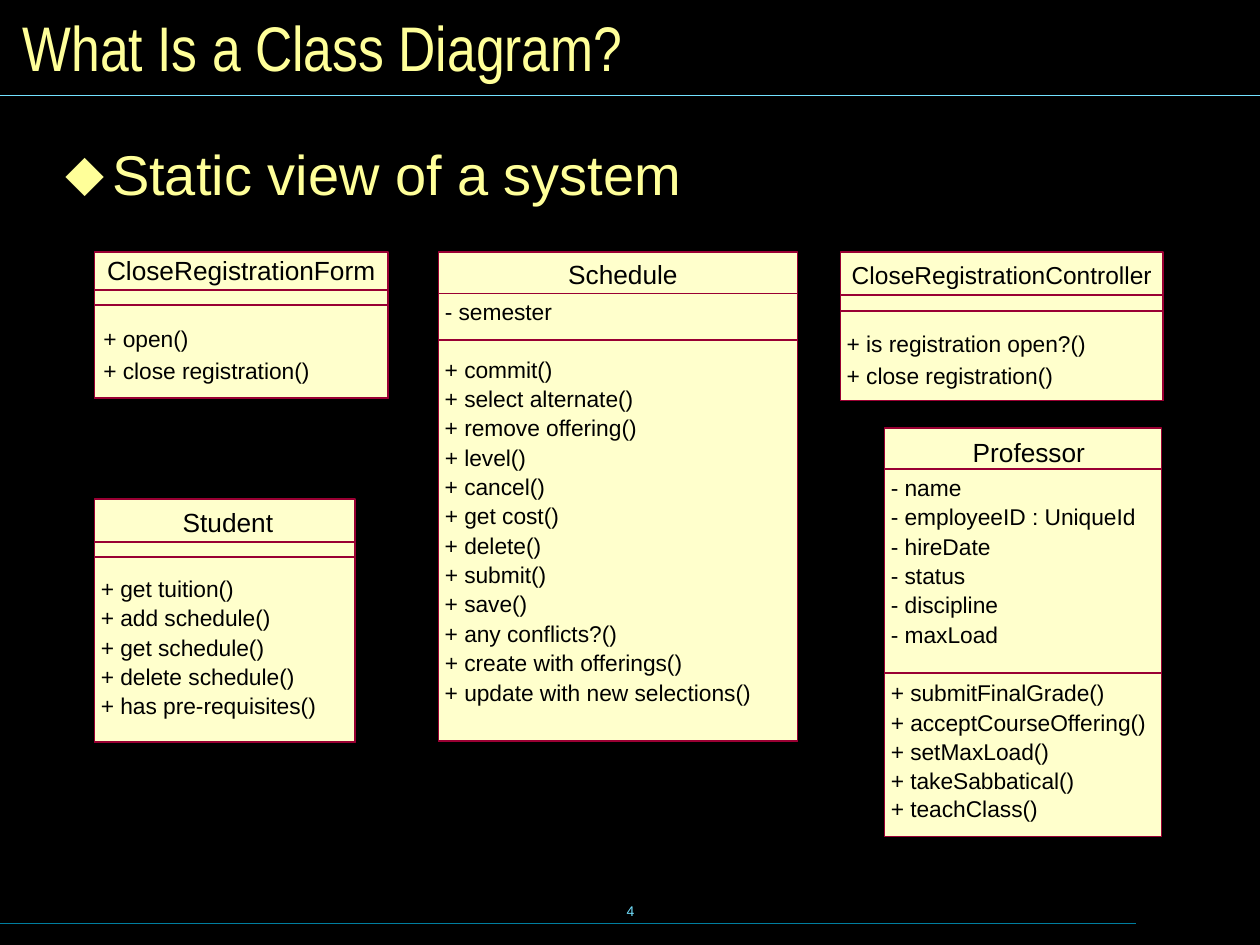
from pptx import Presentation
from pptx.dml.color import RGBColor
from pptx.enum.shapes import MSO_CONNECTOR, MSO_SHAPE
from pptx.enum.text import MSO_ANCHOR, MSO_AUTO_SIZE, PP_ALIGN
from pptx.oxml.ns import qn
from pptx.util import Inches, Pt
from lxml.etree import SubElement

HUES = {"back": "000000", "title": "FFFF99", "rule": "73E1FF", "foot": "007E9F",
        "fill": "FFFFCC", "edge": "990033", "ink": "000000"}


def hue(name):
    return RGBColor.from_string(HUES[name])


def write(frame, text, size, color, font="Arial", inset=(0, 0), wrap=False):
    frame.text = text
    frame.word_wrap = wrap
    frame.auto_size = MSO_AUTO_SIZE.NONE
    frame.margin_left = frame.margin_right = Inches(inset[0])
    frame.margin_top = frame.margin_bottom = Inches(inset[1])
    for par in frame.paragraphs:
        par.alignment = PP_ALIGN.LEFT
        for run in par.runs:
            run.font.size = Pt(size)
            run.font.name = font
            run.font.color.rgb = hue(color)


deck = Presentation()
deck.slide_width, deck.slide_height = Inches(10), Inches(7.5)
slide = deck.slides.add_slide(deck.slide_layouts[5])
slide.background.fill.solid()
slide.background.fill.fore_color.rgb = hue("back")
shapes = slide.shapes

page = shapes.add_textbox(Inches(3.42), Inches(6.98), Inches(3.17), Inches(0.5)).text_frame
write(page, "4", 8, "rule", inset=(0.1, 0.05))
page.vertical_anchor = MSO_ANCHOR.MIDDLE
page.paragraphs[0].alignment = PP_ALIGN.CENTER

for y, end, color in [(7.33, 9.02, "foot"), (0.76, 10, "rule")]:
    line = shapes.add_connector(MSO_CONNECTOR.STRAIGHT, 0, Inches(y), Inches(end), Inches(y))
    line.line.color.rgb = hue(color)
    line.line.width = Pt(0.75)
    SubElement(line._element.spPr, qn("a:effectLst"))

title = shapes.title
title.left, title.top = Inches(0.08), Inches(0.08)
title.width, title.height = Inches(9.84), Inches(0.58)
write(title.text_frame, "What Is a Class Diagram?", 36, "title", "Arial Narrow", (0.1, 0.05), True)
title.text_frame.vertical_anchor = MSO_ANCHOR.MIDDLE

body = shapes.add_textbox(Inches(0.4), Inches(1.15), Inches(9.29), Inches(5.52)).text_frame
write(body, "Static view of a system", 32, "title", inset=(0.12, 0.06), wrap=True)
point = body.paragraphs[0]
point.line_spacing = 0.8
point.space_before = Pt(12)
props = point._p.get_or_add_pPr()
props.set("marL", str(Inches(0.37)))
props.set("indent", str(-Inches(0.37)))
tint = SubElement(SubElement(props, qn("a:buClr")), qn("a:srgbClr"))
tint.set("val", HUES["title"])
SubElement(props, qn("a:buFont")).set("typeface", "Arial")
SubElement(props, qn("a:buChar")).set("char", "⬥")

# name, size, name box, class box, dividers, text left, row step, row blocks
classes = [
    ("CloseRegistrationForm", 15, (0.85, 2.02, 2.13), (0.75, 2, 2.33, 1.16),
     (2.3, 2.42), 0.82, 0.25,
     [(2.58, [("+ open()", 0.68), ("+ close registration()", 1.64)])]),
    ("Student", 15, (1.45, 4.02, 0.72), (0.75, 3.96, 2.07, 1.93),
     (4.3, 4.42), 0.8, 0.233,
     [(4.56, [("+ get tuition()", 1.06), ("+ add schedule()", 1.35),
              ("+ get schedule()", 1.3), ("+ delete schedule()", 1.54),
              ("+ has pre-requisites()", 1.71)])]),
    ("Schedule", 15, (4.51, 2.05, 0.87), (3.48, 2, 2.85, 3.88),
     (2.33, 2.7), 3.53, 0.233,
     [(2.36, [("- semester", 0.85)]),
      (2.82, [("+ commit()", 0.86), ("+ select alternate()", 1.5),
              ("+ remove offering()", 1.53), ("+ level()", 0.65),
              ("+ cancel()", 0.8), ("+ get cost()", 0.91), ("+ delete()", 0.77),
              ("+ submit()", 0.81), ("+ save()", 0.66), ("+ any conflicts?()", 1.37),
              ("+ create with offerings()", 1.89),
              ("+ update with new selections()", 2.43)])]),
    ("Professor", 15, (7.72, 3.46, 0.89), (7.02, 3.4, 2.2, 3.24),
     (3.72, 5.34), 7.07, 0.233,
     [(3.76, [("- name", 0.56), ("- employeeID : UniqueId", 1.94), ("- hireDate", 0.79),
              ("- status", 0.59), ("- discipline", 0.85), ("- maxLoad", 0.85)]),
      (5.39, [("+ submitFinalGrade()", 1.7), ("+ acceptCourseOffering()", 2.03),
              ("+ setMaxLoad()", 1.26), ("+ takeSabbatical()\n+ teachClass()", 1.46)])]),
    ("CloseRegistrationController", 14, (6.76, 2.06, 2.39), (6.67, 2, 2.56, 1.18),
     (2.34, 2.47), 6.72, 0.25,
     [(2.62, [("+ is registration open?()", 1.9), ("+ close registration()", 1.64)])]),
]

for name, size, label, (x, y, w, h), cuts, left, step, blocks in classes:
    group = shapes.add_group_shape().shapes
    for top in (y, *cuts):
        box = group.add_shape(MSO_SHAPE.RECTANGLE, Inches(x), Inches(top),
                              Inches(w), Inches(y + h - top))
        box.shadow.inherit = False
        box.line.color.rgb = hue("edge")
        box.line.width = Pt(1)
        if top == y:
            box.fill.solid()
            box.fill.fore_color.rgb = hue("fill")
        else:
            box.fill.background()
    texts = [(name, size, *label, 0.25)]
    for start, rows in blocks:
        for i, (row, wide) in enumerate(rows):
            tall = 0.22 * len(row.splitlines())
            texts.append((row, 13, left, start + i * step, wide, tall))
    for text, size, at, top, wide, tall in texts:
        box = group.add_textbox(Inches(at), Inches(top), Inches(wide), Inches(tall))
        write(box.text_frame, text, size, "ink")

deck.save("out.pptx")
